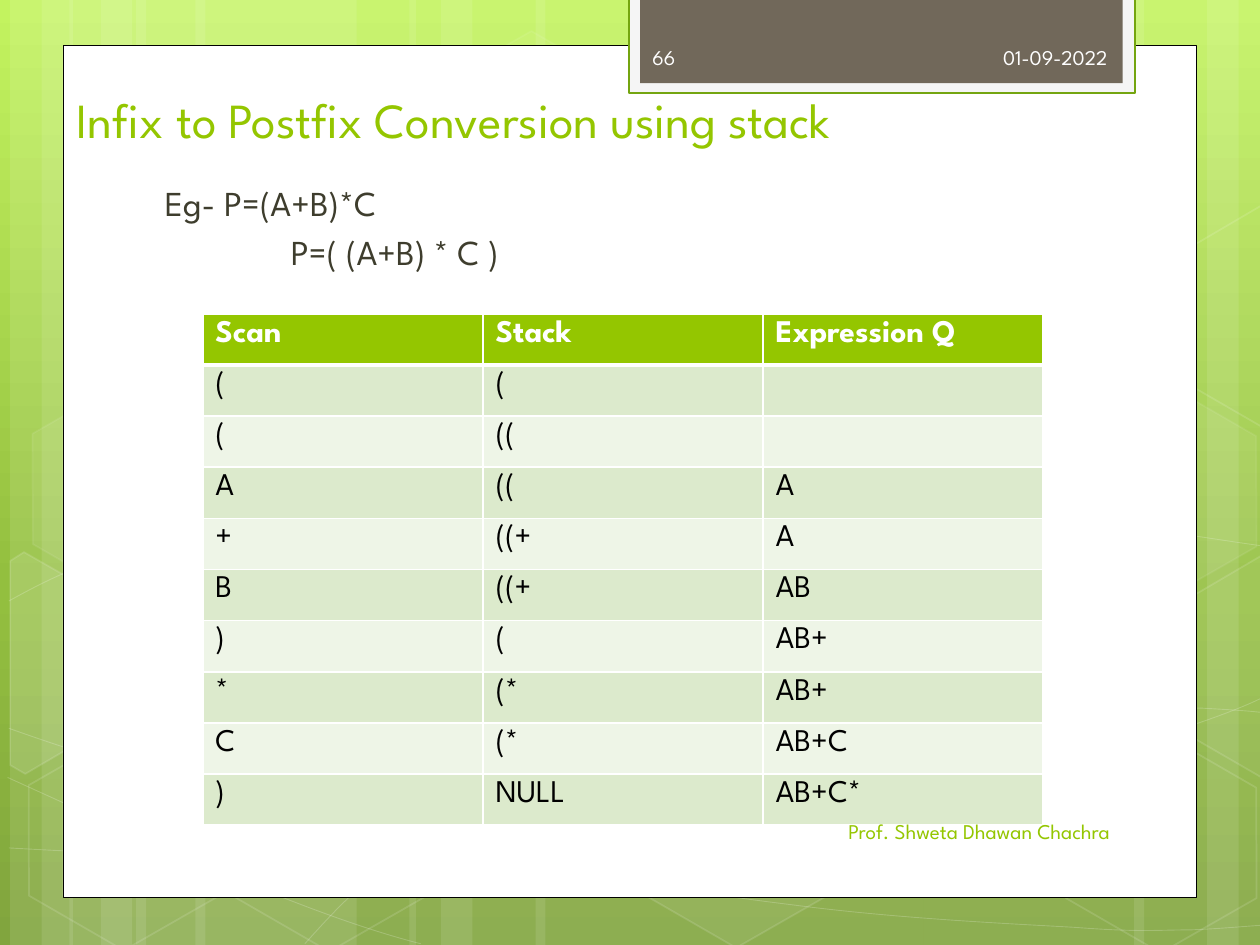
import math
from copy import deepcopy

from lxml import etree
from pptx import Presentation
from pptx import util as u
from pptx.dml.color import RGBColor
from pptx.enum import shapes, text
from pptx.oxml import ns


class Theme:
    font = "League Spartan"
    white = "FFFFFF"
    black = "000000"
    green = "94C600"
    edge = "74A510"
    frame = "F5F5F5"
    brown = "71685A"
    ink = "3E3D2D"
    pale = "FEFEFE"
    bands = ("EEF5E7", "DCEACC")
    gradient = ((0, "C3F35F"), (0.62, "93BF3F"), (1, "81A53E"))
    title, body, cell, small = 28, 20, 18, 12


def style(shape, fill=None, line=None, width=1, fill_alpha=100, line_alpha=100):
    shape.shadow.inherit = False
    parts = ((shape.fill, fill, fill_alpha, "a:solidFill/*"),
             (shape.line.fill, line, line_alpha, "a:ln/a:solidFill/*"))
    for paint, color, alpha, query in parts:
        if color is None:
            paint.background()
            continue
        paint.solid()
        paint.fore_color.rgb = RGBColor.from_string(color)
        if alpha < 100:
            tone = shape.element.spPr.xpath(query)[0]
            etree.SubElement(tone, ns.qn("a:alpha"), val=str(alpha * 1000))
    if line:
        shape.line.width = u.Pt(width)


def add_span(para, words, size, color, bold=False):
    span = para.add_run()
    span.text = words
    span.font.name = Theme.font
    span.font.size = u.Pt(size)
    span.font.bold = bold
    span.font.color.rgb = RGBColor.from_string(color)


deck = Presentation()
deck.slide_width, deck.slide_height = u.Inches(10), u.Inches(7.5)
page = deck.slides.add_slide(deck.slide_layouts[6])

backdrop = page.background.fill
backdrop.gradient()
backdrop.gradient_angle = 270
stop_list = page.element.xpath(".//a:gsLst")[0]
stop_list.append(deepcopy(stop_list[0]))
for stop, (position, color) in zip(backdrop.gradient_stops, Theme.gradient):
    stop.position = position
    stop.color.rgb = RGBColor.from_string(color)

stripes = [(1.08, 1.75, 0), (0.08, 0.5, 0), (0.33, 0.83, 0), (1.55, 1.75, 0), (0.55, 0.5, 0),
           (0.8, 0.83, 0), (7.33, 1.75, 180), (9.58, 0.5, 180), (9, 0.83, 180),
           (4.25, 3.08, 0), (3.25, 0.5, 0), (3.5, 0.83, 0)]
for left, width, turn in stripes:
    stripe = page.shapes.add_shape(shapes.MSO_SHAPE.RECTANGLE, u.Inches(left), 0,
                                   u.Inches(width), deck.slide_height)
    stripe.rotation = turn
    style(stripe, Theme.white, fill_alpha=10)

curves = [
    [(0.07, 6.73), (0.61, 6.76), (1.15, 6.79), (1.9, 6.78), (2.65, 6.77), (3.58, 6.75),
     (4.58, 6.65), (5.58, 6.55), (7, 6.36), (7.92, 6.17), (8.83, 5.98), (9.77, 5.68),
     (10.07, 5.51)],
    [(0.07, 4.77), (0.36, 4.61), (0.65, 4.46), (1.21, 4.31), (1.78, 4.16), (2.59, 3.94),
     (3.47, 3.87), (4.36, 3.8), (5.44, 3.79), (6.54, 3.87), (7.64, 3.95), (9.47, 4.26),
     (10.07, 4.34)],
    [(0.06, 6.17), (1.27, 6.72), (2.47, 7.27), (3.34, 7.49)],
    [(0.07, 5.78), (0.38, 5.89), (0.7, 6), (1.28, 6.16), (1.86, 6.31), (2.73, 6.56),
     (3.57, 6.73), (4.4, 6.9), (5.45, 7.08), (6.28, 7.18), (7.11, 7.29), (8, 7.33),
     (8.53, 7.36), (9.05, 7.4), (9.19, 7.38), (9.45, 7.38), (9.71, 7.37), (9.89, 7.35),
     (10.07, 7.34)],
    [(2.42, 7.49), (2.6, 7.29), (2.78, 7.09), (3.02, 6.91), (3.26, 6.73), (3.6, 6.53),
     (3.88, 6.39), (4.16, 6.25), (4.33, 6.19), (4.7, 6.09), (5.06, 5.99), (5.73, 5.85),
     (6.08, 5.78), (6.44, 5.71), (6.49, 5.71), (6.8, 5.69), (7.11, 5.66), (7.6, 5.63),
     (7.94, 5.62), (8.29, 5.61), (8.86, 5.62), (8.86, 5.62), (8.86, 5.62), (9.53, 5.62),
     (9.53, 5.62), (9.71, 5.63), (9.88, 5.64), (9.97, 5.65), (10.06, 5.66), (10.03, 5.65),
     (10.06, 5.66)],
]
for knots in curves:
    start, *others = [(u.Inches(x), u.Inches(y)) for x, y in knots]
    builder = page.shapes.build_freeform(*start)
    builder.add_line_segments(others, close=False)
    curve = builder.convert_to_shape()
    outline = curve.element.xpath(".//a:path")[0]
    segments = outline.findall(ns.qn("a:lnTo"))
    for first in range(0, len(segments), 3):
        bend = etree.SubElement(outline, ns.qn("a:cubicBezTo"))
        for segment in segments[first:first + 3]:
            bend.append(segment[0])
            outline.remove(segment)
    style(curve, line=Theme.white, width=0.5, line_alpha=20)

hexagons = [(3.34, 0.36, 4, 8), (4.97, 5.89, 6, 12), (0.11, 5.91, 0, 12),
            (0.14, 3.12, 7, 8), (1.74, 5.92, 0, 12), (7.53, 4.53, 10, 12),
            (8.34, 5.93, 0, 12), (8.34, 3.14, 7, 8)]
tilt = 30
for left, top, fill_alpha, line_alpha in hexagons:
    hexagon = page.shapes.add_shape(shapes.MSO_SHAPE.HEXAGON, u.Inches(left), u.Inches(top),
                                    u.Inches(1.75), u.Inches(1.52))
    hexagon.adjustments[0], hexagon.adjustments[1] = 0.29, 1.15
    hexagon.rotation = tilt
    style(hexagon, Theme.white if fill_alpha else None, Theme.white, 1, fill_alpha, line_alpha)

cut_hexagons = [
    ((0.36, 5.35), 10,
     [(0.08, 4.45), (0.19, 4.38), (0.96, 4.82), (0.95, 5.7), (0.2, 6.14), (0.08, 6.07)]),
    ((9.85, 5.2), 4,
     [(9.26, 4.85), (10.01, 4.41), (10.09, 4.46), (10.09, 6.13), (10.02, 6.17), (9.26, 5.73)]),
    ((9.85, 2.41), 0,
     [(9.26, 2.07), (10.01, 1.63), (10.1, 1.68), (10.09, 3.35), (10.02, 3.39), (9.26, 2.95)]),
]
cosine, sine = math.cos(math.radians(tilt)), math.sin(math.radians(tilt))
for (middle_x, middle_y), fill_alpha, corners in cut_hexagons:
    offsets = [(x - middle_x, y - middle_y) for x, y in corners]
    start, *others = [(u.Inches(middle_x + cosine * x + sine * y),
                       u.Inches(middle_y - sine * x + cosine * y)) for x, y in offsets]
    builder = page.shapes.build_freeform(*start)
    builder.add_line_segments(others)
    cut_hexagon = builder.convert_to_shape()
    cut_hexagon.rotation = tilt
    style(cut_hexagon, Theme.white if fill_alpha else None, Theme.white, 1, fill_alpha, 12)

panels = [((0.5, 0.36, 9, 6.76), Theme.white, Theme.black, 0.5),
          ((4.99, -0.02, 4.02, 0.76), Theme.frame, Theme.edge, 1.25),
          ((5.08, -0.02, 3.83, 0.68), Theme.brown, None, 0)]
for place, fill, line, width in panels:
    panel = page.shapes.add_shape(shapes.MSO_SHAPE.RECTANGLE, *map(u.Inches, place))
    style(panel, fill, line, width)

left_side, right_side = text.PP_ALIGN.LEFT, text.PP_ALIGN.RIGHT
top_edge, middle, bottom = (text.MSO_ANCHOR.TOP, text.MSO_ANCHOR.MIDDLE, text.MSO_ANCHOR.BOTTOM)
boxes = [
    ((0.51, 0.73, 7.68, 0.5), bottom, left_side, Theme.title, Theme.green,
     [("Infix to Postfix Conversion using stack", 0)]),
    ((1.14, 1.39, 7.41, 4.99), top_edge, left_side, Theme.body, Theme.ink,
     [("Eg- P=(A+B)*C", 0.07), ("P=( (A+B) * C )", 1.07)]),
    ((6.56, 0.25, 2.33, 0.4), middle, right_side, Theme.small, Theme.pale, [("01-09-2022", 0)]),
    ((5.08, 6.4, 3.83, 0.4), middle, right_side, Theme.small, Theme.green,
     [("Prof. Shweta Dhawan Chachra", 0)]),
    ((5.08, 0.25, 1.46, 0.4), middle, left_side, Theme.small, Theme.pale, [("66", 0)]),
]
text_boxes = []
for place, anchor, align, size, color, lines in boxes:
    box = page.shapes.add_textbox(*map(u.Inches, place))
    text_boxes.append(box)
    box.text_frame.word_wrap = True
    box.text_frame.vertical_anchor = anchor
    for index, (words, indent) in enumerate(lines):
        para = box.text_frame.add_paragraph() if index else box.text_frame.paragraphs[0]
        para.alignment = align
        if indent:
            para._p.get_or_add_pPr().set("marL", str(u.Inches(indent)))
        if index:
            para.space_before = u.Pt(4)
        add_span(para, words, size, color)

rows = [("Scan", "Stack", "Expression Q"), ("(", "(", ""), ("(", "((", ""), ("A", "((", "A"),
        ("+", "((+", "A"), ("B", "((+", "AB"), (")", "(", "AB+"), ("*", "(*", "AB+"),
        ("C", "(*", "AB+C"), (")", "NULL", "AB+C*")]
table_frame = page.shapes.add_table(len(rows), 3, u.Inches(1.61), u.Inches(2.49),
                                    u.Inches(6.67), u.Inches(4.06))
text_boxes[1].element.addnext(table_frame.element)
table = table_frame.table
table.horz_banding = False
for row_index, row in enumerate(rows):
    header = row_index == 0
    for column_index, words in enumerate(row):
        cell = table.cell(row_index, column_index)
        cell.fill.solid()
        cell.fill.fore_color.rgb = RGBColor.from_string(
            Theme.green if header else Theme.bands[row_index % 2])
        if words:
            add_span(cell.text_frame.paragraphs[0], words, Theme.cell,
                     Theme.white if header else Theme.black, header)
        for order, side in enumerate(("lnL", "lnR", "lnT", "lnB")):
            thick = (header and side == "lnB") or (row_index == 1 and side == "lnT")
            border = etree.Element(ns.qn("a:" + side), w=str(u.Pt(3 if thick else 1)))
            paint = etree.SubElement(border, ns.qn("a:solidFill"))
            etree.SubElement(paint, ns.qn("a:srgbClr"), val=Theme.white)
            cell._tc.get_or_add_tcPr().insert(order, border)

deck.save("out.pptx")
